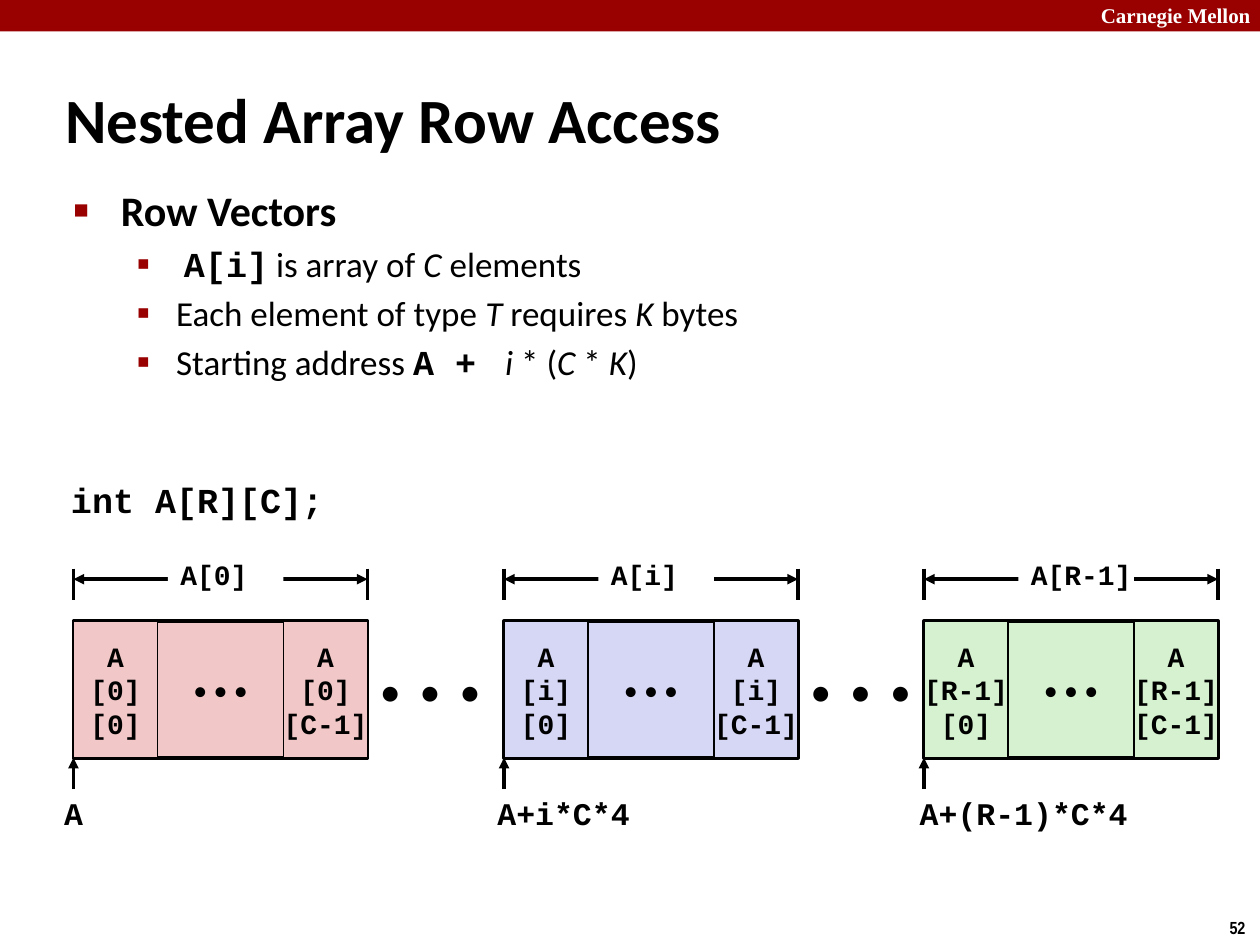
import pptx
import pptx.util
import pptx.dml.color
import pptx.enum.shapes
import pptx.enum.text
import pptx.oxml
import pptx.oxml.ns

Pt = pptx.util.Pt
SHAPE = pptx.enum.shapes.MSO_SHAPE
LINE = pptx.enum.shapes.MSO_CONNECTOR.STRAIGHT
ALIGN = pptx.enum.text.PP_ALIGN
ANCHOR = pptx.enum.text.MSO_ANCHOR
COLORS = {"red": "990000", "black": "000000", "white": "FFFFFF",
          "pink": "F1C7C7", "blue": "D6D6F5", "green": "D5F1CF"}
SANS, SERIF, CODE = "Calibri", "Times New Roman", "Courier New"


def color(name):
    """Return the named colour."""
    return pptx.dml.color.RGBColor.from_string(COLORS[name])


def child(parent, tag, **attrs):
    """Append a drawing element with attributes."""
    node = pptx.oxml.parse_xml(f"<a:{tag} {pptx.oxml.ns.nsdecls('a')}/>")
    for key, value in attrs.items():
        node.set(key, value)
    parent.append(node)
    return node


def write(shape, paras, size=16, font=SANS, ink="black", bold=False,
          align=ALIGN.LEFT, anchor=ANCHOR.TOP, wrap=False):
    """Fill a shape with paragraphs, each a string or a list of (text, style)."""
    frame = shape.text_frame
    frame.word_wrap = wrap
    frame.vertical_anchor = anchor
    for index, runs in enumerate(paras):
        para = frame.add_paragraph() if index else frame.paragraphs[0]
        para.alignment = align
        for text, style in [(runs, "")] if isinstance(runs, str) else runs:
            run = para.add_run()
            run.text = text
            run.font.size = Pt(size)
            run.font.name = CODE if style == "code" else font
            run.font.bold = bold or style in ("code", "bold")
            run.font.italic = style == "italic"
            run.font.color.rgb = color(ink)
    return frame


def label(slide, box, text, **form):
    """Add a one-paragraph text box."""
    shape = slide.shapes.add_textbox(*map(Pt, box))
    return write(shape, [text], **form)


def block(slide, box, fill, edge=0):
    """Add a filled rectangle, outlined if edge is given."""
    shape = slide.shapes.add_shape(SHAPE.RECTANGLE, *map(Pt, box))
    shape.shadow.inherit = False
    shape.fill.solid()
    shape.fill.fore_color.rgb = color(fill)
    if edge:
        shape.line.color.rgb = color("black")
        shape.line.width = Pt(edge)
    else:
        shape.line.fill.background()
    return shape


def rule(slide, start, stop, *ends):
    """Draw a line with arrowheads at the named ends."""
    line = slide.shapes.add_connector(LINE, *map(Pt, start + stop))
    line.line.color.rgb = color("black")
    line.line.width = Pt(2)
    for end in ends:
        child(line.line._get_or_add_ln(), end, type="triangle")
    child(line._element.spPr, "effectLst")


def banner(slide, box):
    """Draw the top bar with the school name."""
    left, top, width, height = box
    block(slide, box, "red")
    label(slide, (left + width - 98, top - 2, 103, 22), "Carnegie Mellon", size=12,
          font=SERIF, ink="white", bold=True, wrap=True)


def head(slide, box):
    """Place and fill the title."""
    title = slide.shapes.title
    title.left, title.top, title.width, title.height = map(Pt, box)
    write(title, ["Nested Array Row Access"], size=36, bold=True,
          anchor=ANCHOR.MIDDLE, wrap=True)


def points(slide, box):
    """Write the bulleted facts on row vectors."""
    paras = [
        [("Row Vectors", "bold")],
        [(" ", ""), ("A[i]", "code"), (" is array of ", ""), ("C", "italic"),
         (" elements", "")],
        [("Each element of type ", ""), ("T ", "italic"), ("requires ", ""),
         ("K ", "italic"), ("bytes", "")],
        [("Starting address ", ""), ("A + ", "code"), (" ", ""), ("i", "italic"),
         (" * (", ""), ("C ", "italic"), ("* ", ""), ("K", "italic"), (")", "")],
    ]
    frame = write(slide.shapes.add_textbox(*map(Pt, box)), paras, size=20, wrap=True)
    frame.paragraphs[0].runs[0].font.size = Pt(24)
    for index, para in enumerate(frame.paragraphs):
        left, hang, mark, scale = (58.5, 22.5, "▪", 110) if index else (27, 27, "■", 60)
        props = para._p.get_or_add_pPr()
        props.set("marL", str(Pt(left)))
        props.set("indent", str(-Pt(hang)))
        child(child(props, "buClr"), "srgbClr", val=COLORS["red"])
        child(props, "buSzPct", val=str(scale * 1000))
        child(props, "buFont", typeface=SERIF)
        child(props, "buChar", char=mark)
        if index:
            para.space_before = Pt(4)


def row(slide, box, index, fill):
    """Draw one array row with its cells, span and start pointer."""
    left, top, width, height = box
    right, cell = left + width, 48
    form = {"align": ALIGN.CENTER, "anchor": ANCHOR.MIDDLE}
    write(block(slide, box, fill, 2.25), ["•\u00a0•\u00a0•"], **form)
    for x, column in ((left, "0"), (right - cell, "C-1")):
        write(block(slide, (x, top, cell, height), fill, 1),
              ["A", f"[{index}]", f"[{column}]"], font=CODE, bold=True, **form)
    for x in (left, right):
        rule(slide, (x, top - 30), (x, top - 12))
    rule(slide, (left, top - 24), (right, top - 24), "headEnd", "tailEnd")
    write(block(slide, (left + 54, top - 42, 66, 30), "white"), [f"A[{index}]"],
          font=CODE, bold=True, anchor=ANCHOR.MIDDLE)
    rule(slide, (left, top + height + 18), (left, top + height), "tailEnd")


def array(slide, box):
    """Draw the rows of the array, the gaps between them and the addresses."""
    left, top, width, height = box
    rows = [(0, "0", "pink", "A", -15.5, 31),
            (246, "i", "blue", "A+i*C*4", -23, 114),
            (486, "R-1", "green", "A+(R-1)*C*4", -12, 138)]
    for shift, *_ in rows[:-1]:
        gap = block(slide, (left + shift + 168, top, 78, height), "white")
        write(gap, ["• \u00a0•\u00a0 •"], size=24, anchor=ANCHOR.MIDDLE)
    for shift, index, fill, start, nudge, span in rows:
        row(slide, (left + shift, top, 168, height), index, fill)
        label(slide, (left + shift + nudge, top + height + 17, span, 29), start,
              size=18, font=CODE, bold=True, align=ALIGN.CENTER, wrap=True)


def main():
    """Build and save the slide."""
    deck = pptx.Presentation()
    deck.slide_width, deck.slide_height = Pt(720), Pt(540)
    slide = deck.slides.add_slide(deck.slide_layouts[5])
    banner(slide, (0, 0, 720, 18))
    head(slide, (30, 45, 546, 45))
    points(slide, (35, 102, 470, 114))
    label(slide, (33.5, 270, 180, 31), "int A[R][C];", size=20, font=CODE, bold=True,
          wrap=True)
    array(slide, (42, 355, 654, 78))
    label(slide, (695.5, 520.5, 24, 19), "52", size=10, font="Arial Narrow", bold=True)
    deck.save("out.pptx")


if __name__ == "__main__":
    main()
